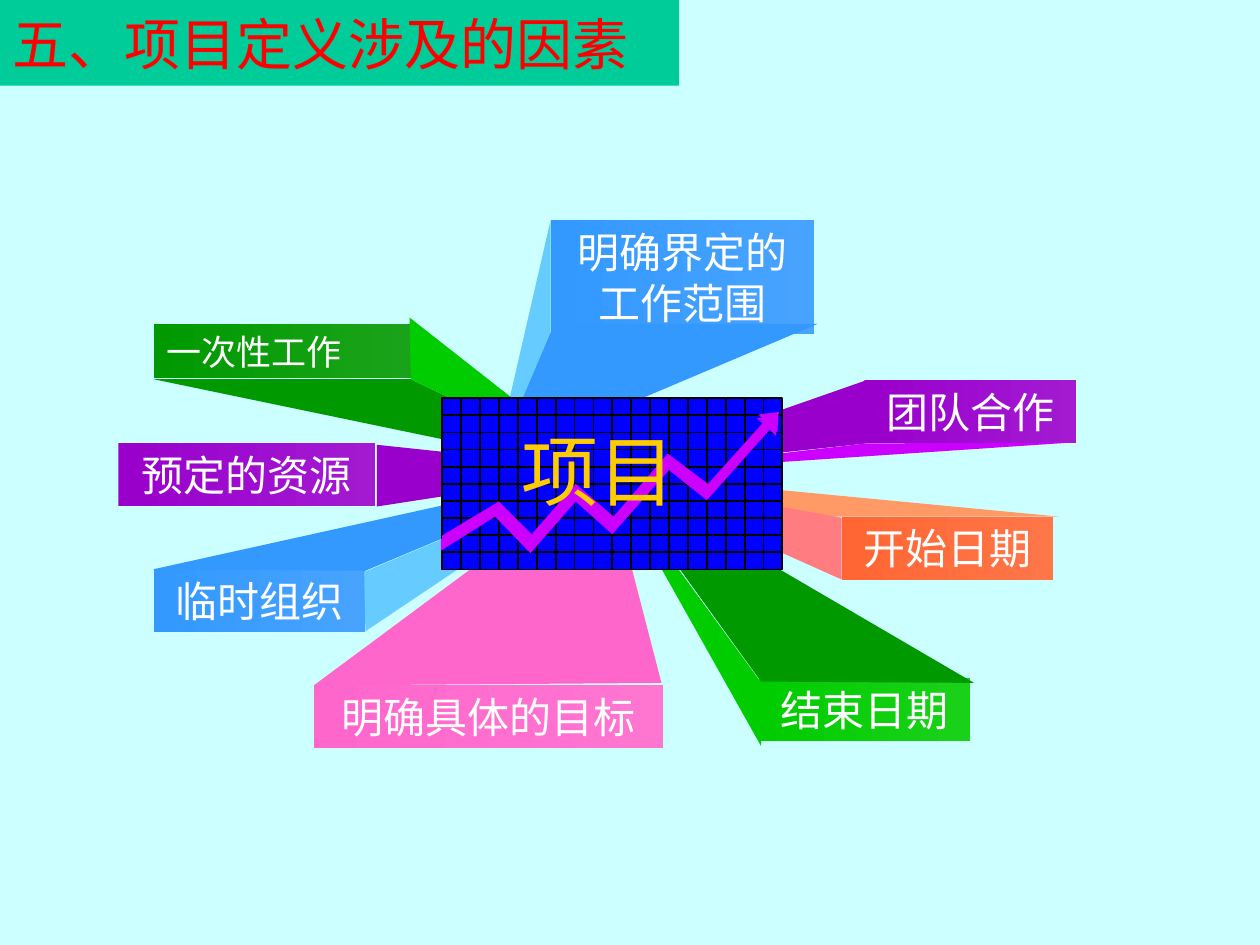
from dataclasses import dataclass

from lxml import etree
from pptx import Presentation
from pptx.dml.color import RGBColor
from pptx.enum.shapes import MSO_CONNECTOR, MSO_SHAPE
from pptx.enum.text import MSO_ANCHOR, MSO_AUTO_SIZE, PP_ALIGN
from pptx.oxml.ns import qn
from pptx.util import Cm, Pt

RECTANGLE = MSO_SHAPE.RECTANGLE
STRAIGHT = MSO_CONNECTOR.STRAIGHT
TOP, MIDDLE = MSO_ANCHOR.TOP, MSO_ANCHOR.MIDDLE
LEFT, CENTER = PP_ALIGN.LEFT, PP_ALIGN.CENTER
GROW = MSO_AUTO_SIZE.SHAPE_TO_FIT_TEXT
TOP_SIDE, LEFT_SIDE, BOTTOM_SIDE, RIGHT_SIDE = range(4)

CHINESE_FONT = "Noto Sans CJK SC"
BLUE, SKY = "3399FF", "66CCFF"
PURPLE, VIOLET = "9900CC", "CC00FF"
GREEN, LIME = "009900", "00CC00"
PINK, ORANGE = "FF66CC", "FF6633"

Point = tuple[float, float]


@dataclass(frozen=True)
class Label:
    text: str
    left: float
    top: float
    width: float
    color: str
    end_color: str
    height: float = 0.5
    size: int = 24
    align: PP_ALIGN = CENTER


@dataclass(frozen=True)
class Ribbon:
    color: str
    points: tuple[Point, ...]


LABELS = (
    Label("明确界定的\n工作范围", 4.37, 1.75, 2.09, BLUE, "48A3FF", height=0.9),
    Label("预定的资源", 0.94, 3.52, 2.04, PURPLE, "A31AD1"),
    Label("一次性工作", 1.22, 2.57, 2.04, GREEN, "1AA31A", height=0.43, size=20, align=LEFT),
    Label("临时组织", 1.22, 4.52, 1.68, BLUE, "48A3FF"),
    Label("明确具体的目标", 2.49, 5.44, 2.77, PINK, "FF76D1"),
    Label("团队合作", 6.86, 3.02, 1.68, PURPLE, "A31AD1"),
    Label("开始日期", 6.68, 4.1, 1.68, ORANGE, "FF7648"),
    Label("结束日期", 6.02, 5.38, 1.68, LIME, "1AD11A"),
)

RIBBONS = (
    Ribbon(SKY, ((4.37, 1.75), (4.37, 2.67), (3.91, 3.75))),
    Ribbon(BLUE, ((4.4, 2.57), (3.94, 3.65), (6.49, 2.57))),
    Ribbon(PURPLE, ((6.87, 3.02), (6.87, 3.52), (4.81, 3.74))),
    Ribbon(VIOLET, ((8.54, 3.51), (4.81, 3.76), (6.87, 3.52))),
    Ribbon("FF9966", ((4.83, 3.76), (8.4, 4.1), (6.25, 4.1))),
    Ribbon("FF7C80", ((4.83, 3.77), (6.68, 4.11), (6.68, 4.6))),
    Ribbon(GREEN, ((1.22, 3.01), (3.26, 3.01), (4.83, 3.76))),
    Ribbon(LIME, ((3.25, 2.52), (4.83, 3.76), (3.26, 3.01))),
    Ribbon(PURPLE, ((2.99, 3.53), (4.87, 3.73), (2.99, 4.02))),
    Ribbon(BLUE, ((1.21, 4.52), (4.83, 3.72), (2.9, 4.53))),
    Ribbon(SKY, ((4.81, 3.73), (2.89, 4.54), (2.9, 5.01))),
    Ribbon(PINK, ((2.49, 5.44), (4.81, 3.72), (5.25, 5.42))),
    Ribbon(LIME, ((4.81, 3.73), (6.04, 5.92), (6.05, 5.43))),
    Ribbon(GREEN, ((4.82, 3.72), (7.73, 5.42), (6.04, 5.41))),
)

TREND = (
    (3.5, 4.28), (3.95, 4.01), (4.21, 4.27), (4.56, 3.87), (4.86, 4.13),
    (5.29, 3.63), (5.61, 3.87), (6.06, 3.37), (6.01, 3.32), (6.17, 3.3),
    (6.16, 3.46), (6.11, 3.41), (5.61, 3.97), (5.31, 3.73), (4.86, 4.24),
    (4.57, 3.98), (4.21, 4.39), (3.93, 4.1), (3.5, 4.37),
)

GRID_LEFT, GRID_TOP, GRID_WIDTH, GRID_HEIGHT = 3.51, 3.16, 2.7, 1.36
GRID_COLUMNS, GRID_ROWS = 18, 10


def length(inches: float) -> Cm:
    return Cm(inches * 2.54)


def rgb(color: str) -> RGBColor:
    return RGBColor.from_string(color)


def paint(shape, color: str) -> None:
    shape.shadow.inherit = False
    shape.fill.solid()
    shape.fill.fore_color.rgb = rgb(color)
    shape.line.fill.background()


def write(shape, text: str, *, size: int, color: str, font: str = CHINESE_FONT,
          align: PP_ALIGN = LEFT, anchor: MSO_ANCHOR = TOP, grow: bool = True) -> None:
    frame = shape.text_frame
    frame.word_wrap = True
    frame.vertical_anchor = anchor
    if grow:
        frame.auto_size = GROW
    for index, words in enumerate(text.split("\n")):
        para = frame.add_paragraph() if index else frame.paragraphs[0]
        para.alignment = align
        span = para.add_run()
        span.text = words
        span.font.size = Pt(size)
        span.font.name = font
        span.font.color.rgb = rgb(color)
        east_asian = etree.SubElement(span.font._element, qn("a:ea"))
        east_asian.set("typeface", CHINESE_FONT)


def add_box(shapes, left: float, top: float, width: float, height: float, color: str):
    box = shapes.add_shape(RECTANGLE, length(left), length(top), length(width), length(height))
    paint(box, color)
    return box


def add_label(page, label: Label) -> None:
    box = add_box(page.shapes, label.left, label.top, label.width, label.height, label.color)
    box.fill.gradient()
    box.fill.gradient_angle = 0
    for stop, color in zip(box.fill.gradient_stops, (label.color, label.end_color)):
        stop.color.rgb = rgb(color)
    write(box, label.text, size=label.size, color="FFFFFF", font="Arial", align=label.align)


def add_outline(shapes, points: tuple[Point, ...], color: str,
                shift: Point = (0, 0)) -> None:
    corners = [(length(x + shift[0]), length(y + shift[1])) for x, y in points]
    builder = shapes.build_freeform(*corners[0])
    builder.add_line_segments(corners[1:], close=True)
    paint(builder.convert_to_shape(), color)


def add_grid_line(shapes, start: Point, end: Point):
    line = shapes.add_connector(STRAIGHT, *(length(value) for value in start + end))
    line.line.color.rgb = rgb("000000")
    line.line.width = Pt(1)
    etree.SubElement(line._element.spPr, qn("a:effectLst"))
    return line


def add_grid(page) -> None:
    shapes = page.shapes.add_group_shape().shapes
    panel = add_box(shapes, GRID_LEFT, GRID_TOP, GRID_WIDTH, GRID_HEIGHT, "0000FF")
    panel.line.color.rgb = rgb("000000")
    panel.line.width = Pt(1)
    right, bottom = GRID_LEFT + GRID_WIDTH, GRID_TOP + GRID_HEIGHT
    for column in range(1, GRID_COLUMNS):
        x = GRID_LEFT + column * GRID_WIDTH / GRID_COLUMNS
        line = add_grid_line(shapes, (x, GRID_TOP), (x, bottom))
        if column * 2 == GRID_COLUMNS:
            line.begin_connect(panel, TOP_SIDE)
            line.end_connect(panel, BOTTOM_SIDE)
    for row in range(1, GRID_ROWS):
        y = GRID_TOP + row * GRID_HEIGHT / GRID_ROWS
        line = add_grid_line(shapes, (GRID_LEFT, y), (right, y))
        if row * 2 == GRID_ROWS:
            line.begin_connect(panel, LEFT_SIDE)
            line.end_connect(panel, RIGHT_SIDE)


def main() -> None:
    deck = Presentation()
    deck.slide_width, deck.slide_height = length(10), length(7.5)
    page = deck.slides.add_slide(deck.slide_layouts[6])
    page.background.fill.solid()
    page.background.fill.fore_color.rgb = rgb("CCFFFF")

    for label in LABELS:
        add_label(page, label)
    for ribbon in RIBBONS:
        add_outline(page.shapes, ribbon.points, ribbon.color)
    add_grid(page)
    trend_shapes = page.shapes.add_group_shape().shapes
    for shift in ((0, 0), (0.01, -0.03)):
        add_outline(trend_shapes, TREND, VIOLET, shift)

    center = page.shapes.add_textbox(length(4.04), length(3.31), length(1.67), length(0.83))
    write(center, "项目", size=44, color="FFCC00")
    title = add_box(page.shapes, 0, 0, 5.39, 0.68, "00CC99")
    write(title, "五、项目定义涉及的因素", size=32, color="FF0000", anchor=MIDDLE, grow=False)
    deck.save("out.pptx")


if __name__ == "__main__":
    main()
